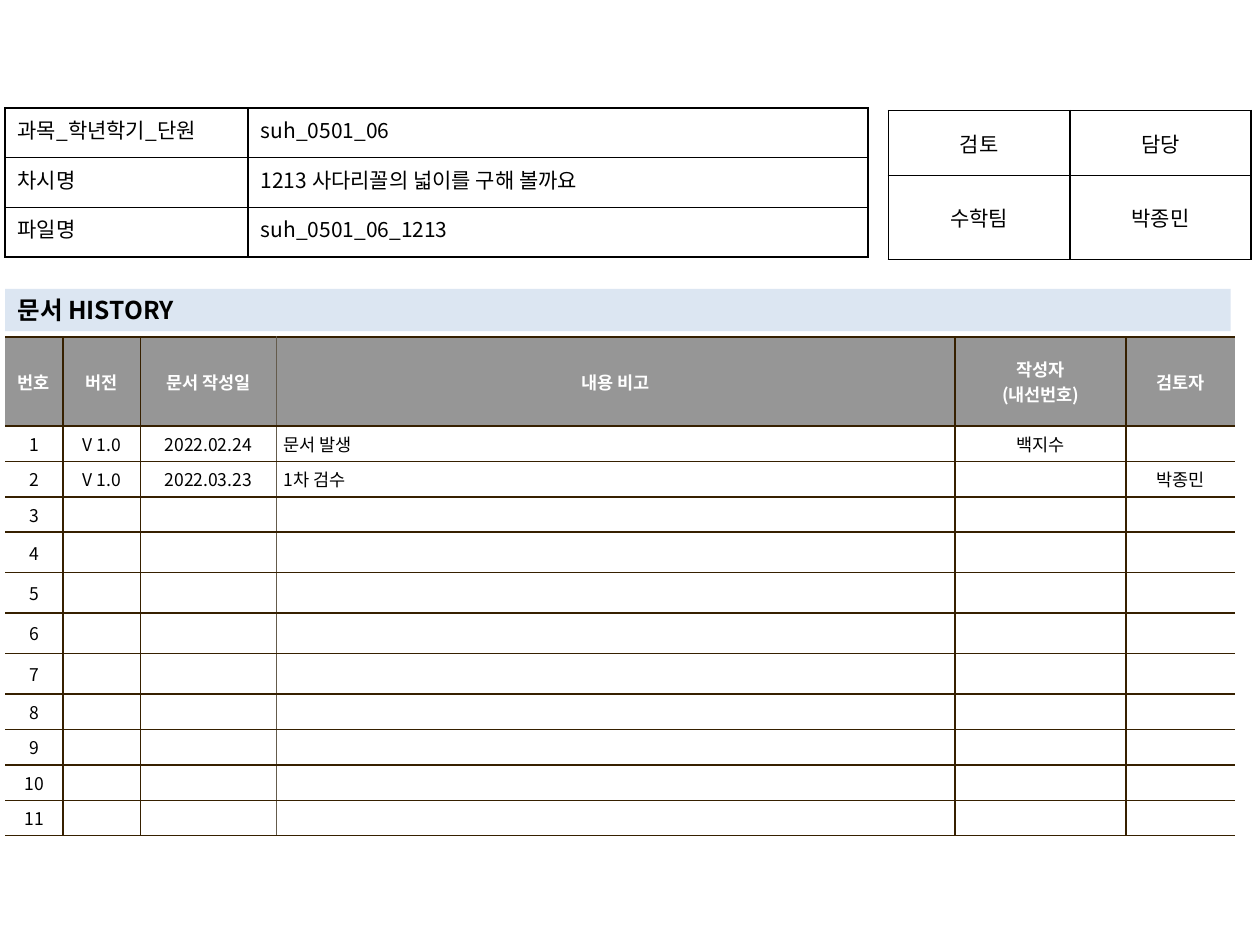
from lxml import etree
from pptx import Presentation
from pptx.dml.color import RGBColor
from pptx.enum.shapes import MSO_SHAPE
from pptx.enum.text import MSO_ANCHOR, PP_ALIGN
from pptx.oxml.ns import qn
from pptx.util import Pt

FONT = "Noto Sans CJK KR"
LEFT, CENTER, JUSTIFY = PP_ALIGN.LEFT, PP_ALIGN.CENTER, PP_ALIGN.JUSTIFY
TOP, MIDDLE = MSO_ANCHOR.TOP, MSO_ANCHOR.MIDDLE
RECTANGLE = MSO_SHAPE.RECTANGLE
NO_STYLE = "{2D5ABB26-0587-4C30-8999-92F81FD0307C}"
BLACK, WHITE, GREY, BLUE = "000000", "FFFFFF", "969696", "DCE6F2"
BROWN, LIGHT_BROWN = "362000", "645B4C"


def write(para, text, size, color=BLACK, bold=False):
    """Add one run, or just set the size of an empty line."""
    if not text:
        end = etree.SubElement(para._p, qn("a:endParaRPr"))
        end.set("sz", str(size * 100))
        return
    span = para.add_run()
    span.text = text
    span.font.size = Pt(size)
    span.font.bold = bold
    span.font.name = FONT
    span.font.color.rgb = RGBColor.from_string(color)
    east_asian = etree.SubElement(span.font._element, qn("a:ea"))
    east_asian.set("typeface", FONT)


def add_grid(page, left, top, widths, heights):
    """Add an unstyled table with the given column widths and row heights."""
    frame = page.shapes.add_table(len(heights), len(widths), Pt(left), Pt(top),
                                  Pt(sum(widths)), Pt(sum(heights)))
    grid = frame.table
    grid._tbl.tblPr.find(qn("a:tableStyleId")).text = NO_STYLE
    grid.first_row = grid.horz_banding = False
    for column, width in zip(grid.columns, widths):
        column.width = Pt(width)
    for row, height in zip(grid.rows, heights):
        row.height = Pt(height)
    return grid


deck = Presentation()
deck.slide_width, deck.slide_height = Pt(720), Pt(540)
page = deck.slides.add_slide(deck.slide_layouts[6])

# Contents of the tables
history = [
    ["번호", "버전", "문서 작성일", "내용 비고", "작성자\n(내선번호)", "검토자"],
    ["1", "V 1.0", "2022.02.24", "문서 발생", "백지수", ""],
    ["2", "V 1.0", "2022.03.23", "1차 검수", "", "박종민"],
]
history += [[str(number)] + [""] * 5 for number in range(3, 12)]
review = [["검토", "담당"], ["수학팀", "박종민"]]
lesson = [
    ["과목_학년학기_단원 ", "suh_0501_06"],
    ["차시명", "1213 사다리꼴의 넓이를 구해 볼까요"],
    ["파일명", "suh_0501_06_1213"],
]

# Table sizes: rows 4 to 7 of the history are a little taller
history_heights = [50.9] + [20.1] * 3 + [23.15] * 4 + [20.1] * 4
history_grid = add_grid(page, 2.9, 192.6, [33.1, 44.2, 77.7, 388, 97.7, 62.5],
                        history_heights)
review_grid = add_grid(page, 507.6, 63.2, [103.7, 103.7], [37, 48])

# Heading band
band = page.shapes.add_shape(RECTANGLE, Pt(2.9), Pt(165.1), Pt(700.3), Pt(24.2))
band.shadow.inherit = False
band.fill.solid()
band.fill.fore_color.rgb = RGBColor.from_string(BLUE)
band.line.fill.background()
band.text_frame.vertical_anchor = MIDDLE
heading = band.text_frame.paragraphs[0]
heading.alignment = LEFT
write(heading, "문서 HISTORY", 14, bold=True)

lesson_grid = add_grid(page, 2.9, 61.7, [138.9, 354.2], [28.4] * 3)

# Fill the cells: table, contents, anchor, column alignments, insets, border
tables = [
    (history_grid, history, MIDDLE, [CENTER] * 3 + [LEFT] + [CENTER] * 2,
     (4.3, 2.9), BROWN),
    (review_grid, review, MIDDLE, [CENTER] * 2, (7.2, 3.6), BLACK),
    (lesson_grid, lesson, TOP, [JUSTIFY, LEFT], (7.2, 3.6), BLACK),
]
for grid, rows, anchor, alignments, (inset_x, inset_y), border in tables:
    is_history = grid is history_grid
    last = len(alignments) - 1
    for r, values in enumerate(rows):
        is_header = is_history and r == 0
        for c, value in enumerate(values):
            cell = grid.cell(r, c)
            cell.vertical_anchor = anchor
            cell.margin_left = cell.margin_right = Pt(inset_x)
            cell.margin_top = cell.margin_bottom = Pt(inset_y)

            # Borders: the history table is open at both sides
            sides = {"lnL": border, "lnR": border, "lnT": border, "lnB": border}
            if is_history:
                if c == 0:
                    sides["lnL"] = None
                if c == last:
                    sides["lnR"] = None
                if c == 2:
                    sides["lnR"] = LIGHT_BROWN
                if c == 3:
                    sides["lnL"] = LIGHT_BROWN
            properties = cell._tc.get_or_add_tcPr()
            for side, color in sides.items():
                line = etree.SubElement(properties, qn(f"a:{side}"))
                line.set("w", str(Pt(1)))
                if color:
                    fill = etree.SubElement(line, qn("a:solidFill"))
                    etree.SubElement(fill, qn("a:srgbClr")).set("val", color)
                else:
                    etree.SubElement(line, qn("a:noFill"))

            # Background
            if is_history:
                cell.fill.solid()
                cell.fill.fore_color.rgb = RGBColor.from_string(
                    GREY if is_header else WHITE)
            else:
                cell.fill.background()

            # Text, one paragraph a line
            for i, text in enumerate(value.split("\n")):
                frame = cell.text_frame
                para = frame.add_paragraph() if i else frame.paragraphs[0]
                para.alignment = alignments[c] if not is_header else CENTER
                write(para, text, 10 if is_history else 12,
                      WHITE if is_header else BLACK, is_header)

deck.save("out.pptx")
